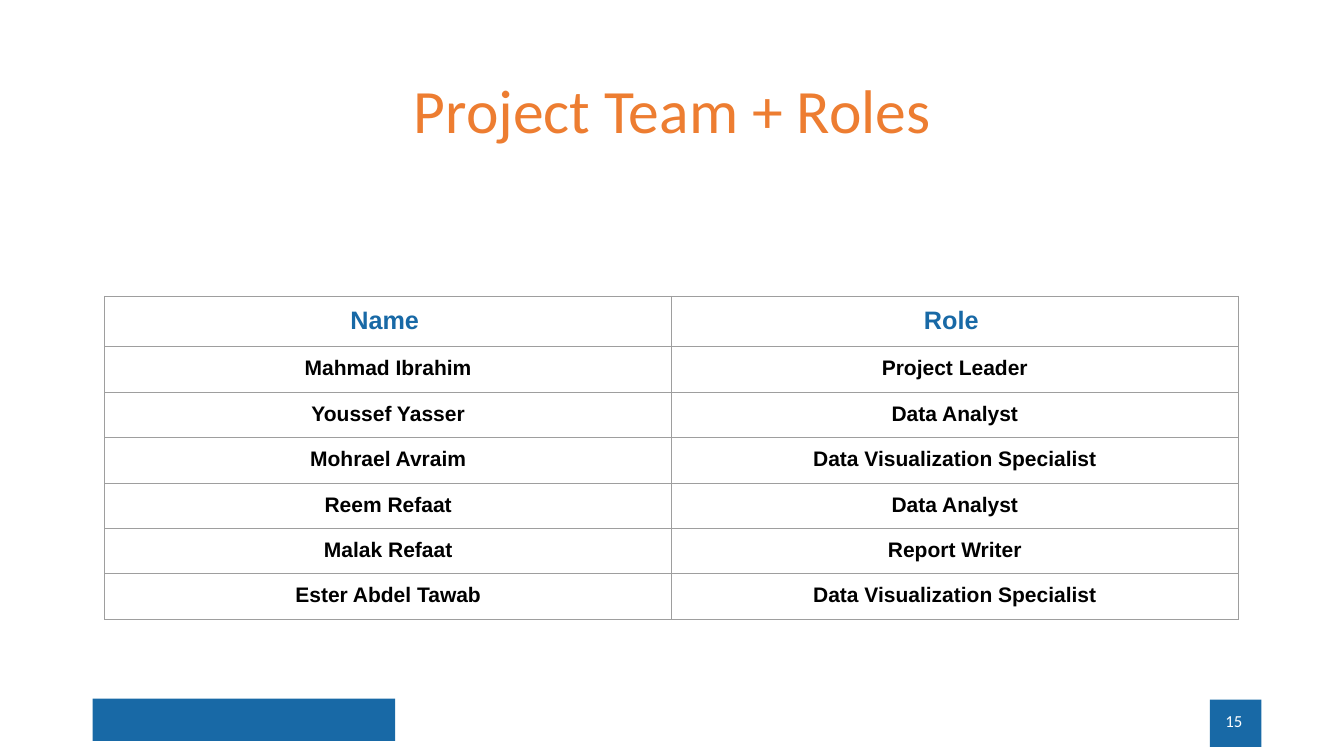
from lxml import etree
from pptx import Presentation
from pptx.dml.color import RGBColor
from pptx.enum.shapes import MSO_SHAPE
from pptx.enum.text import MSO_ANCHOR, PP_ALIGN
from pptx.oxml.ns import qn
from pptx.util import Inches, Pt

RECT = MSO_SHAPE.RECTANGLE
MIDDLE = MSO_ANCHOR.MIDDLE
CENTER, RIGHT = PP_ALIGN.CENTER, PP_ALIGN.RIGHT

COLORS = {"blue": "1869A6", "orange": "ED7D31", "white": "FFFFFF",
          "black": "000000", "gray": "9E9E9E"}

TITLE = {"name": "Calibri", "size": Pt(44), "color": "orange"}
NUMBER = {"name": "Calibri", "size": Pt(12), "color": "white"}
HEAD = {"name": "Arial", "size": Pt(18), "bold": True, "color": "blue"}
BODY = {"name": "Arial", "size": Pt(15), "bold": True, "color": "black"}

TEAM = [
    ("Name ", "Role "),
    ("Mahmad Ibrahim", "Project Leader"),
    ("Youssef Yasser", "Data Analyst"),
    ("Mohrael Avraim", "Data Visualization Specialist"),
    ("Reem Refaat", "Data Analyst"),
    ("Malak Refaat", "Report Writer"),
    ("Ester Abdel Tawab", "Data Visualization Specialist"),
]


def write(frame, text, align, style):
    """Fill a text frame with one styled paragraph."""
    para = frame.paragraphs[0]
    para.alignment = align
    run = para.add_run()
    run.text = text
    for key, value in style.items():
        if key == "color":
            run.font.color.rgb = RGBColor.from_string(COLORS[value])
        else:
            setattr(run.font, key, value)
    return para


def add_block(slide, box, color):
    """Draw a plain filled rectangle."""
    block = slide.shapes.add_shape(RECT, *map(Inches, box))
    block.shadow.inherit = False
    block.fill.solid()
    block.fill.fore_color.rgb = RGBColor.from_string(COLORS[color])
    block.line.fill.background()


def add_label(slide, box, text, align, style):
    """Add a wrapped, vertically centred text box."""
    frame = slide.shapes.add_textbox(*map(Inches, box)).text_frame
    frame.word_wrap = True
    frame.vertical_anchor = MIDDLE
    return write(frame, text, align, style)


def add_edges(cell, color, width):
    """Give all four sides of a cell a solid border."""
    props = cell._tc.get_or_add_tcPr()
    for side in ("lnL", "lnR", "lnT", "lnB"):
        line = etree.SubElement(props, qn(f"a:{side}"), w=str(Pt(width)))
        fill = etree.SubElement(line, qn("a:solidFill"))
        etree.SubElement(fill, qn("a:srgbClr"), val=COLORS[color])


def add_grid(slide, left, top, width, height, rows):
    """Add the bordered table with a styled header row."""
    box = map(Inches, (left, top, width, height * len(rows)))
    table = slide.shapes.add_table(len(rows), len(rows[0]), *box).table
    table.first_row = table.horz_banding = False
    for r, row in enumerate(rows):
        table.rows[r].height = Inches(height)
        for c, text in enumerate(row):
            cell = table.cell(r, c)
            for side in ("left", "right", "top", "bottom"):
                setattr(cell, f"margin_{side}", Inches(0.1))
            add_edges(cell, "gray", 0.75)
            cell.fill.background()
            write(cell.text_frame, text, CENTER, BODY if r else HEAD)


def main():
    """Build the team slide and save it."""
    deck = Presentation()
    deck.slide_width, deck.slide_height = Inches(13.33), Inches(7.5)
    slide = deck.slides.add_slide(deck.slide_layouts[6])
    add_block(slide, (0.92, 6.93, 3, 0.42), "blue")
    add_block(slide, (12, 6.94, 0.51, 0.47), "blue")
    title = add_label(slide, (0.92, 0.4, 11.5, 1.45),
                      "Project Team + Roles", CENTER, TITLE)
    title.line_spacing = 0.9
    add_label(slide, (9.42, 6.95, 3, 0.4), "15", RIGHT, NUMBER)
    add_grid(slide, 1.04, 2.94, 11.24, 0.42, TEAM)
    deck.save("out.pptx")


if __name__ == "__main__":
    main()
